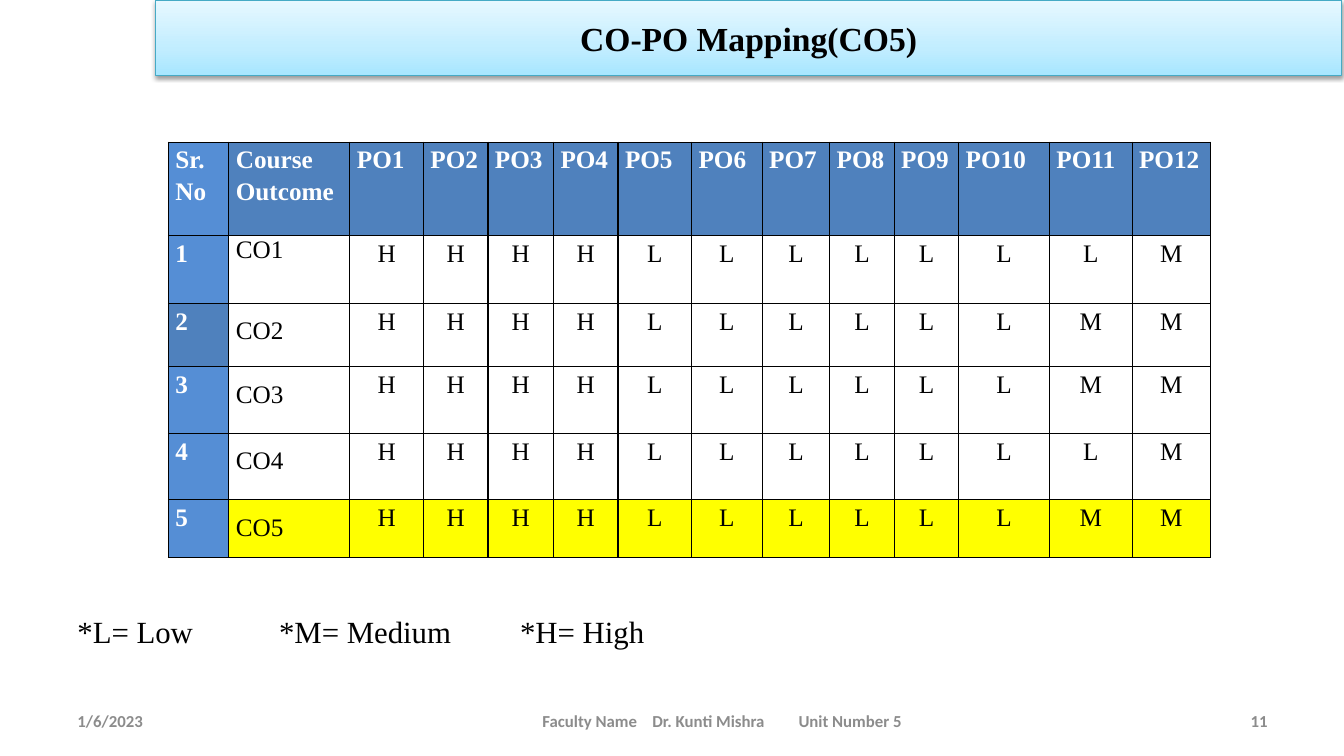
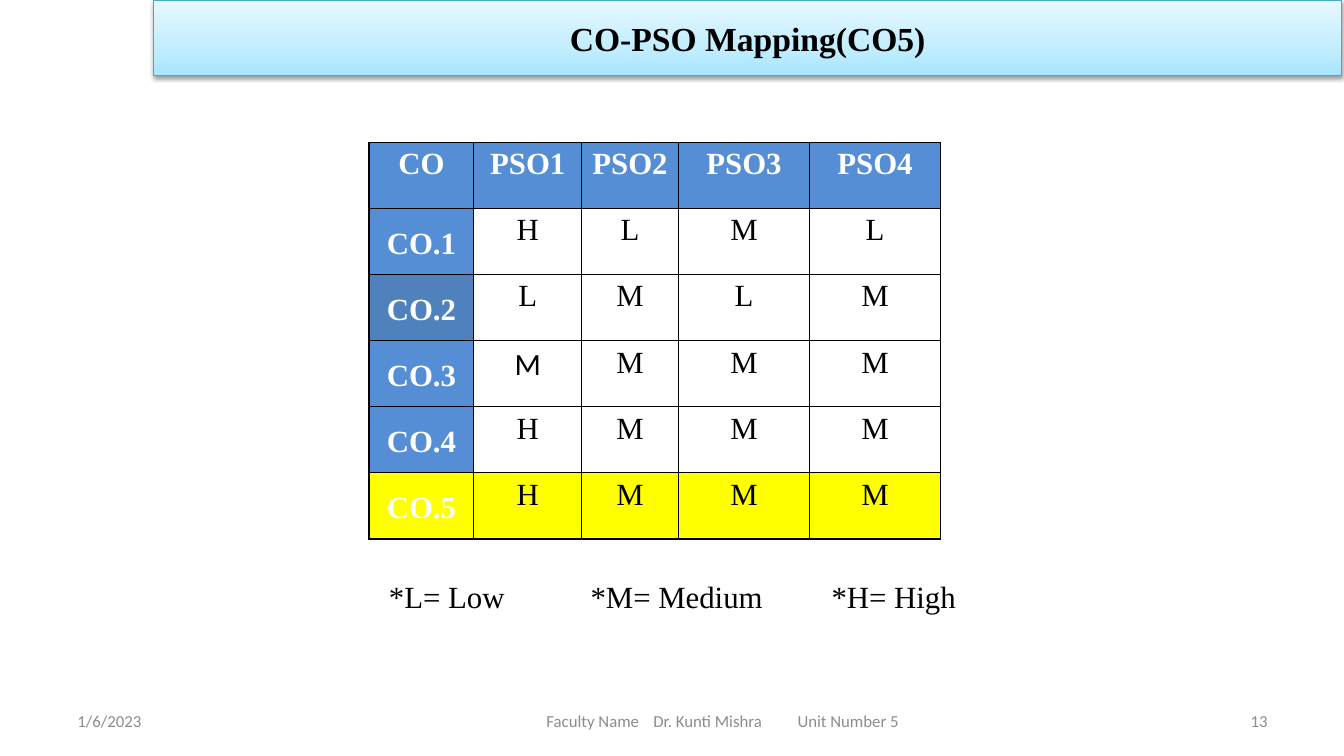
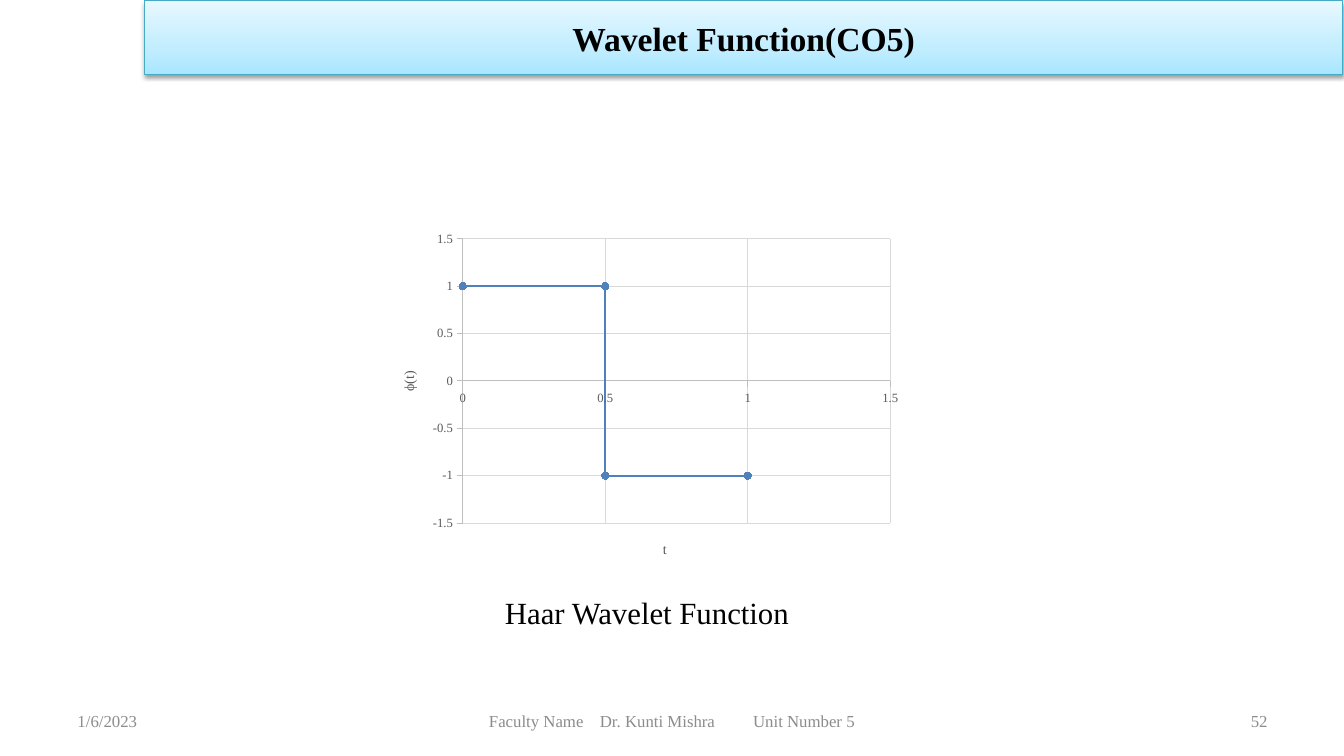
from pptx import Presentation
from pptx.chart.data import XyChartData
from pptx.dml.color import RGBColor
from pptx.enum.chart import XL_CHART_TYPE as Chart, XL_MARKER_STYLE as Mark
from pptx.enum.chart import XL_TICK_MARK as Tick
from pptx.enum.shapes import MSO_SHAPE as Shape
from pptx.enum.text import MSO_ANCHOR as Anchor, PP_ALIGN as Align
from pptx.oxml import parse_xml
from pptx.oxml.ns import nsdecls, qn
from pptx.util import Inches, Pt
from lxml.etree import SubElement

BLACK = RGBColor(0x00, 0x00, 0x00)
WHITE = RGBColor(0xFF, 0xFF, 0xFF)
GREY = RGBColor(0x8C, 0x8C, 0x8C)
LABEL = RGBColor(0x59, 0x59, 0x59)
AXIS = RGBColor(0xBF, 0xBF, 0xBF)
GRID = RGBColor(0xD9, 0xD9, 0xD9)
BLUE = RGBColor(0x4F, 0x81, 0xBD)
SKY = RGBColor(0x55, 0x8E, 0xD5)
YELLOW = RGBColor(0xFF, 0xFF, 0x00)
TEAL = RGBColor(0x46, 0xAA, 0xC5)
BAND = [(0, RGBColor(0xA7, 0xE6, 0xFF)), (35, RGBColor(0xC1, 0xED, 0xFF)),
        (100, RGBColor(0xE7, 0xF8, 0xFF))]

SERIF, SANS = "Times New Roman", "Calibri"
TITLE = dict(name=SERIF, size=Pt(24), bold=True)
BODY = dict(name=SERIF, size=Pt(22), bold=False)
LEGEND = "*L= Low\t*M= Medium\t*H= High"
FOOT = "Faculty Name\tDr. Kunti Mishra\tUnit Number 5"
PLOT = (3.76, 2.23, 5.25, 3.51)


def style(font, color, fmt):
    for key, val in fmt.items():
        setattr(font, key, val)
    font.color.rgb = color


def write(frame, text, color, fmt, align=Align.LEFT, stops=(), lead=None):
    para = frame.paragraphs[0]
    para.alignment = align
    if stops:
        tabs = SubElement(para._p.get_or_add_pPr(), qn("a:tabLst"))
        for pos in stops:
            SubElement(tabs, qn("a:tab"), pos=str(Inches(pos)), algn="l")
    if lead:
        para.line_spacing = lead
    run = para.add_run()
    run.text = text
    style(run.font, color, fmt)


def label(slide, box, text, color, fmt, anchor=Anchor.TOP, inset=0.1, **opts):
    frame = slide.shapes.add_textbox(*map(Inches, box)).text_frame
    frame.word_wrap = True
    frame.vertical_anchor = anchor
    frame.margin_left = Inches(inset)
    write(frame, text, color, fmt, **opts)


def band(slide, text, left, top=0, right=13.31):
    box = left, top, right - left, 0.75 - 2 * top
    shape = slide.shapes.add_shape(Shape.RECTANGLE, *map(Inches, box))
    shape.line.color.rgb = TEAL
    shape.line.width = Pt(0.75)
    stops = "".join(f'<a:gs pos="{pos * 1000}"><a:srgbClr val="{rgb}"/></a:gs>'
                    for pos, rgb in BAND)
    props = shape._element.spPr
    props.insert(2, parse_xml(
        f'<a:gradFill {nsdecls("a")} rotWithShape="1"><a:gsLst>{stops}</a:gsLst>'
        '<a:lin ang="16200000" scaled="0"/></a:gradFill>'))
    props.append(parse_xml(
        f'<a:effectLst {nsdecls("a")}><a:outerShdw blurRad="40000" dist="20000" '
        'dir="5400000" rotWithShape="0"><a:srgbClr val="000000">'
        '<a:alpha val="38000"/></a:srgbClr></a:outerShdw></a:effectLst>'))
    shape.text_frame.vertical_anchor = Anchor.MIDDLE
    write(shape.text_frame, text, BLACK, TITLE, Align.CENTER)


def footer(slide, page, left, stops, font=SANS, bold=False):
    """Date, faculty line starting at left with tab stops, and page number."""
    fmt = dict(name=font, size=Pt(12), bold=bold)
    mid = Anchor.MIDDLE
    label(slide, (0.67, 6.95, 3.11, 0.4), "1/6/2023", GREY, fmt, mid)
    label(slide, (4.42, 6.95, 5.5, 0.4), FOOT, GREY, fmt, mid,
          inset=left - 4.42, stops=stops)
    label(slide, (9.56, 6.95, 3.11, 0.4), page, GREY, fmt, mid,
          align=Align.RIGHT)


def legend(slide, left, top):
    label(slide, (left, top, 6, 0.47), LEGEND, BLACK, BODY, stops=(2, 4.39))


def border(cell):
    props = cell._tc.get_or_add_tcPr()
    for side in "LRTB":
        props.append(parse_xml(
            f'<a:ln{side} {nsdecls("a")} w="12700"><a:solidFill>'
            f'<a:srgbClr val="{BLACK}"/></a:solidFill></a:ln{side}>'))


def grid(slide, left, top, cols, rows, data, look):
    """Draw a table; look(row, col) gives fill, bold, size, align, lead, anchor."""
    frame = slide.shapes.add_table(len(rows), len(cols), Inches(left), Inches(top),
                                   Inches(sum(cols)), Inches(sum(rows)))
    table = frame.table
    table.first_row = table.horz_banding = False
    for col, width in zip(table.columns, cols):
        col.width = Inches(width)
    for row, height in zip(table.rows, rows):
        row.height = Inches(height)
    for r, line in enumerate(data):
        for c, text in enumerate(line):
            cell = table.cell(r, c)
            fill, bold, size, align, lead, anchor = look(r, c)
            border(cell)
            cell.fill.solid()
            cell.fill.fore_color.rgb = fill
            cell.margin_left = cell.margin_right = Inches(0.07)
            cell.margin_top = cell.margin_bottom = 0
            cell.vertical_anchor = anchor
            fmt = dict(name=SERIF, size=Pt(size), bold=bold)
            write(cell.text_frame, text, WHITE if bold else BLACK, fmt,
                  align, lead=lead)
    return table


def po_look(row, col):
    head = row == 0 or col == 0
    if head:
        fill = BLUE if row == 2 or (row == 0 and col) else SKY
    else:
        fill = YELLOW if row == 5 else WHITE
    align = Align.LEFT if head or col == 1 else Align.CENTER
    lead = 1.15
    if col == 1 and row:
        lead = 1 if row == 1 else 1.5
    return fill, head, 18, align, lead, Anchor.TOP


def pso_look(row, col):
    head = row == 0 or col == 0
    if row == 5:
        fill = YELLOW
    elif head:
        fill = BLUE if row == 2 else SKY
    else:
        fill = WHITE
    anchor = Anchor.MIDDLE if row and col == 0 else Anchor.TOP
    return fill, head, 22, Align.CENTER, 1.15, anchor


def place(part, index, **spots):
    """Give a chart part a fixed layout, in inches from the chart's corner."""
    for old in part.findall(qn("c:layout")):
        part.remove(old)
    wide, high = PLOT[2:]
    target = '<c:layoutTarget val="inner"/>' if "w" in spots else ""
    modes = '<c:xMode val="edge"/><c:yMode val="edge"/>'
    vals = "".join(
        f'<c:{key} val="{val / (wide if key in "xw" else high):.4f}"/>'
        for key, val in spots.items())
    part.insert(index, parse_xml(
        f'<c:layout {nsdecls("c")}><c:manualLayout>{target}{modes}{vals}'
        '</c:manualLayout></c:layout>'))


def scale(axis, low, name, x, y, turn=0):
    axis.minimum_scale, axis.maximum_scale, axis.major_unit = low, 1.5, 0.5
    axis.major_tick_mark, axis.minor_tick_mark = Tick.OUTSIDE, Tick.NONE
    axis.has_major_gridlines = True
    for line, color in ((axis.format.line, AXIS),
                        (axis.major_gridlines.format.line, GRID)):
        line.color.rgb = color
        line.width = Pt(0.75)
    labels = axis.tick_labels
    labels.number_format, labels.number_format_is_linked = "General", False
    style(labels.font, LABEL, dict(name=SERIF, size=Pt(9)))
    title = axis.axis_title
    write(title.text_frame, name, LABEL, dict(name=SERIF, size=Pt(10), bold=False),
          Align.CENTER)
    part = title._element
    part.find(".//" + qn("a:bodyPr")).set("rot", str(turn * 60000))
    place(part, 1, x=x, y=y)


def plot(slide, points):
    data = XyChartData()
    series = data.add_series("Series 1")
    for x, y in points:
        series.add_data_point(x, y)
    chart = slide.shapes.add_chart(Chart.XY_SCATTER_LINES, *map(Inches, PLOT),
                                   data).chart
    chart.has_legend = chart.has_title = False
    style(chart.font, BLACK, dict(name=SERIF, size=Pt(10)))
    chart.plots[0].vary_by_categories = False
    curve = chart.plots[0].series[0]
    curve.smooth = False
    curve.format.line.color.rgb = BLUE
    curve.format.line.width = Pt(1.5)
    mark = curve.marker
    mark.style, mark.size = Mark.CIRCLE, 5
    mark.format.fill.solid()
    mark.format.fill.fore_color.rgb = BLUE
    mark.format.line.color.rgb = BLUE
    scale(chart.category_axis, 0, "t", 2.79, 3.1)
    scale(chart.value_axis, -1.5, "ϕ(t)", 0.18, 1.43, turn=-90)
    area = chart._chartSpace.find(".//" + qn("c:plotArea"))
    place(area, 0, x=0.83, y=0.14, w=4.24, h=2.82)


def po_map(slide):
    footer(slide, "11", 5.38, (1.09, 2.54), bold=True)
    band(slide, "CO-PO Mapping(CO5)", 1.54)
    legend(slide, 0.67, 6.03)
    levels = ["HHHHLLLLLLLM", "HHHHLLLLLLMM", "HHHHLLLLLLMM",
              "HHHHLLLLLLLM", "HHHHLLLLLLMM"]
    data = [["Sr. No", "Course Outcome"] + [f"PO{n}" for n in range(1, 13)]]
    data += [[str(n), f"CO{n}", *row] for n, row in enumerate(levels, 1)]
    cols = [0.6, 1.2, 0.73, 0.64, 0.65, 0.64, 0.73, 0.7, 0.67, 0.64, 0.64,
            0.9, 0.82, 0.78]
    rows = [0.93, 0.67, 0.63, 0.66, 0.66, 0.57]
    grid(slide, 1.67, 1.41, cols, rows, data, po_look)


def pso_map(slide):
    footer(slide, "13", 5.42, (1.06, 2.49))
    band(slide, "CO-PSO Mapping(CO5)", 1.52)
    legend(slide, 3.76, 5.68)
    levels = ["HLML", "LMLM", "MMMM", "HMMM", "HMMM"]
    data = [["CO"] + [f"PSO{n}" for n in range(1, 5)]]
    data += [[f"CO.{n}", *row] for n, row in enumerate(levels, 1)]
    table = grid(slide, 3.66, 1.41, [1.04, 1.07, 0.96, 1.3, 1.3], [3.94 / 6] * 6,
                 data, pso_look)
    table.cell(3, 1).text_frame.paragraphs[0].runs[0].font.name = SANS


def wavelet(slide):
    footer(slide, "52", 4.85, (1.1, 2.62), font=SERIF)
    plot(slide, [(0, 1), (0.5, 1), (0.5, 1), (0.5, -1), (1, -1)])
    label(slide, (4.91, 5.84, 3.58, 0.47), "Haar Wavelet Function", BLACK, BODY)
    band(slide, "Wavelet Function(CO5)", 1.43, 0.01, 13.32)


def main():
    deck = Presentation()
    deck.slide_width, deck.slide_height = Inches(13.33), Inches(7.5)
    for build in (po_map, pso_map, wavelet):
        build(deck.slides.add_slide(deck.slide_layouts[6]))
    deck.save("out.pptx")


if __name__ == "__main__":
    main()
